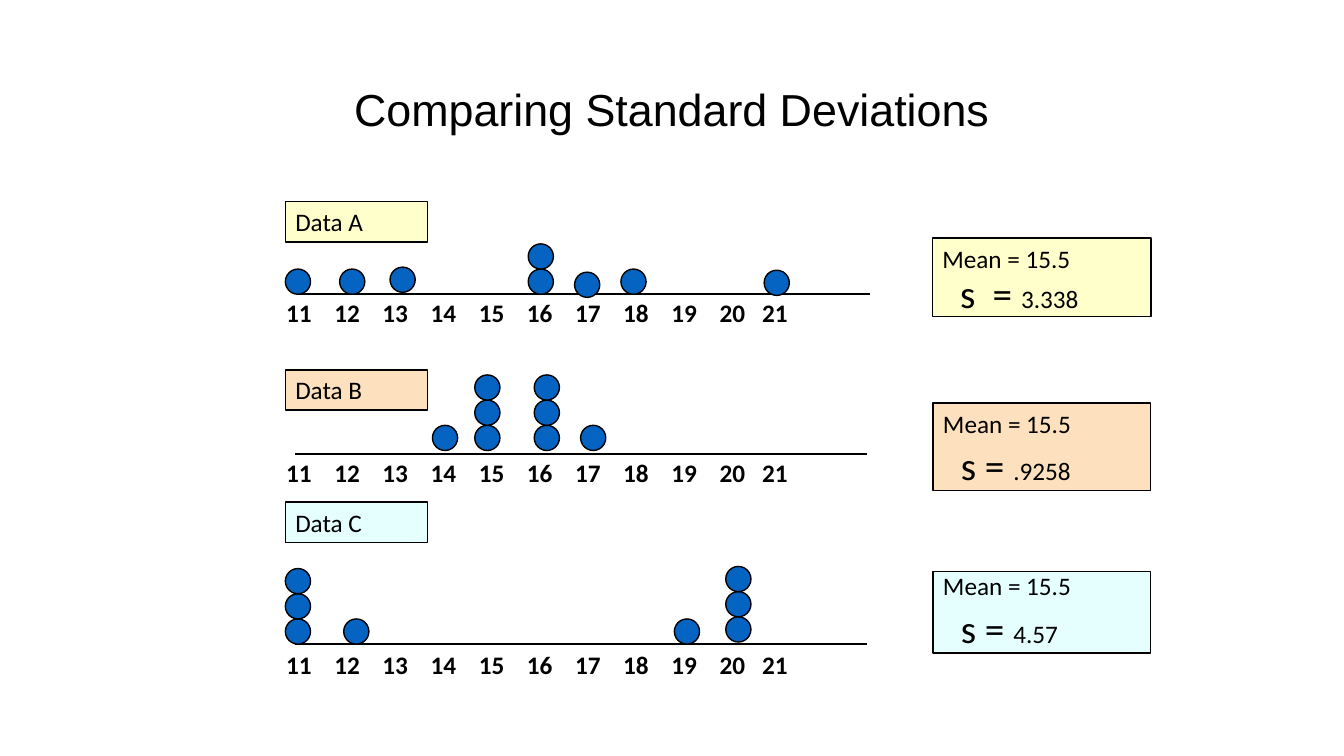
from dataclasses import dataclass

from lxml.etree import SubElement
from pptx import Presentation
from pptx.dml.color import RGBColor
from pptx.enum.shapes import MSO_CONNECTOR, MSO_SHAPE
from pptx.enum.text import MSO_ANCHOR, PP_ALIGN
from pptx.oxml.ns import qn
from pptx.util import Pt


@dataclass(frozen=True)
class Theme:
    ink: str = "000000"
    dot: str = "0563C1"
    yellow: str = "FFFFCC"
    orange: str = "FDE0BD"
    cyan: str = "E5FFFF"
    title_font: str = "Arial"
    body_font: str = "Calibri"
    title_size: int = 32
    body_size: int = 18
    symbol_size: int = 28


THEME = Theme()
DOT_SIZE = 18
TICK_STEP = 34.4
LAST_TICK = 340
LABEL_LEFT = 203.8

# Each stack of dots: left, top of the lowest dot, number of dots
DATA_SETS = [
    dict(name="Data A", fill=THEME.yellow, label_top=144,
         axis=(213.1, 621.4, 210.2), ticks_top=208.8,
         stacks=[(203.8, 192.2, 1), (242.6, 192.2, 1), (278.6, 190.8, 1),
                 (377.3, 192.2, 2), (410.4, 194.4, 1), (443.5, 192.2, 1),
                 (545.8, 193, 1)],
         summary=(666, 169.9, 156.2, 56.2), deviation="3.338",
         symbol="s\t= ", mean_spacing=1.0, spacing=0.3),
    dict(name="Data B", fill=THEME.orange, label_top=264.2,
         axis=(211, 619.2, 324), ticks_top=323.3,
         stacks=[(308.9, 303.8, 1), (339.1, 303.8, 3), (381.6, 303.8, 3),
                 (414.7, 303.8, 1)],
         summary=(666.5, 288, 155.5, 62.6), deviation=".9258",
         symbol="s = ", mean_spacing=1.0, spacing=0.5),
    dict(name="Data C", fill=THEME.cyan, label_top=358.6,
         axis=(211, 619.2, 460.1), ticks_top=460.1,
         stacks=[(203.8, 442.1, 3), (245.5, 442.1, 1), (481.7, 442.1, 1),
                 (518.4, 440.6, 3)],
         summary=(666.5, 408.2, 155.5, 58.3), deviation="4.57",
         symbol="s = ", mean_spacing=0.8, spacing=0.5),
]


def color(value):
    return RGBColor.from_string(value)


def add_span(para, text, size=THEME.body_size, font=THEME.body_font, bold=False):
    span = para.add_run()
    span.text = text
    span.font.size = Pt(size)
    span.font.name = font
    span.font.bold = bold
    span.font.color.rgb = color(THEME.ink)


def add_tabs(para, positions):
    tabs = SubElement(para._p.get_or_add_pPr(), qn("a:tabLst"))
    for position in positions:
        SubElement(tabs, qn("a:tab"), pos=str(int(Pt(position))), algn="l")


def add_title(page, text):
    title = page.shapes.title
    title.left, title.top, title.width, title.height = map(Pt, (66, 28.8, 828, 104.4))
    title.text_frame.vertical_anchor = MSO_ANCHOR.MIDDLE
    para = title.text_frame.paragraphs[0]
    para.alignment = PP_ALIGN.CENTER
    para.line_spacing = 0.8
    add_span(para, text, size=THEME.title_size, font=THEME.title_font)


def add_filled_shape(page, kind, bounds, fill):
    shape = page.shapes.add_shape(kind, *map(Pt, bounds))
    shape.shadow.inherit = False
    shape.fill.solid()
    shape.fill.fore_color.rgb = color(fill)
    shape.line.color.rgb = color(THEME.ink)
    shape.line.width = Pt(1)
    return shape


def add_box(page, bounds, fill):
    """Add a filled box and return its text frame."""
    frame = add_filled_shape(page, MSO_SHAPE.RECTANGLE, bounds, fill).text_frame
    frame.word_wrap = True
    frame.vertical_anchor = MSO_ANCHOR.TOP
    frame.paragraphs[0].alignment = PP_ALIGN.LEFT
    return frame


def add_label(page, top, text, fill):
    frame = add_box(page, (LABEL_LEFT, top, 101.5, 28.8), fill)
    add_span(frame.paragraphs[0], text)


def add_summary(page, data):
    frame = add_box(page, data["summary"], data["fill"])
    mean = frame.paragraphs[0]
    mean.line_spacing = data["mean_spacing"]
    add_span(mean, "Mean = 15.5")
    para = frame.add_paragraph()
    para.alignment = PP_ALIGN.LEFT
    para.line_spacing = data["spacing"]
    para.space_before = Pt(17)
    para._p.get_or_add_pPr().set("indent", str(int(Pt(12.7))))
    add_tabs(para, [36])
    add_span(para, data["symbol"], size=THEME.symbol_size)
    add_span(para, data["deviation"])


def add_axis(page, start, end, y):
    axis = page.shapes.add_connector(MSO_CONNECTOR.STRAIGHT, *map(Pt, (start, y, end, y)))
    axis.line.color.rgb = color(THEME.ink)
    axis.line.width = Pt(1.5)
    SubElement(axis._element.spPr, qn("a:effectLst"))


def add_ticks(page, top):
    box = page.shapes.add_textbox(*map(Pt, (197.3, top, 438.5, 28.8)))
    box.text_frame.word_wrap = True
    para = box.text_frame.paragraphs[0]
    add_tabs(para, [TICK_STEP * step for step in range(1, 10)] + [LAST_TICK])
    add_span(para, "\t".join(str(value) for value in range(11, 22)), bold=True)


def add_stack(page, left, top, count):
    for level in range(count):
        bounds = (left, top - level * DOT_SIZE, DOT_SIZE, DOT_SIZE)
        add_filled_shape(page, MSO_SHAPE.OVAL, bounds, THEME.dot)


def main():
    deck = Presentation()
    deck.slide_width, deck.slide_height = Pt(960), Pt(540)
    page = deck.slides.add_slide(deck.slide_layouts.get_by_name("Title Only"))
    add_title(page, "Comparing Standard Deviations")
    for data in DATA_SETS:
        add_label(page, data["label_top"], data["name"], data["fill"])
        add_axis(page, *data["axis"])
        add_ticks(page, data["ticks_top"])
        for stack in data["stacks"]:
            add_stack(page, *stack)
        add_summary(page, data)
    deck.save("out.pptx")


if __name__ == "__main__":
    main()
